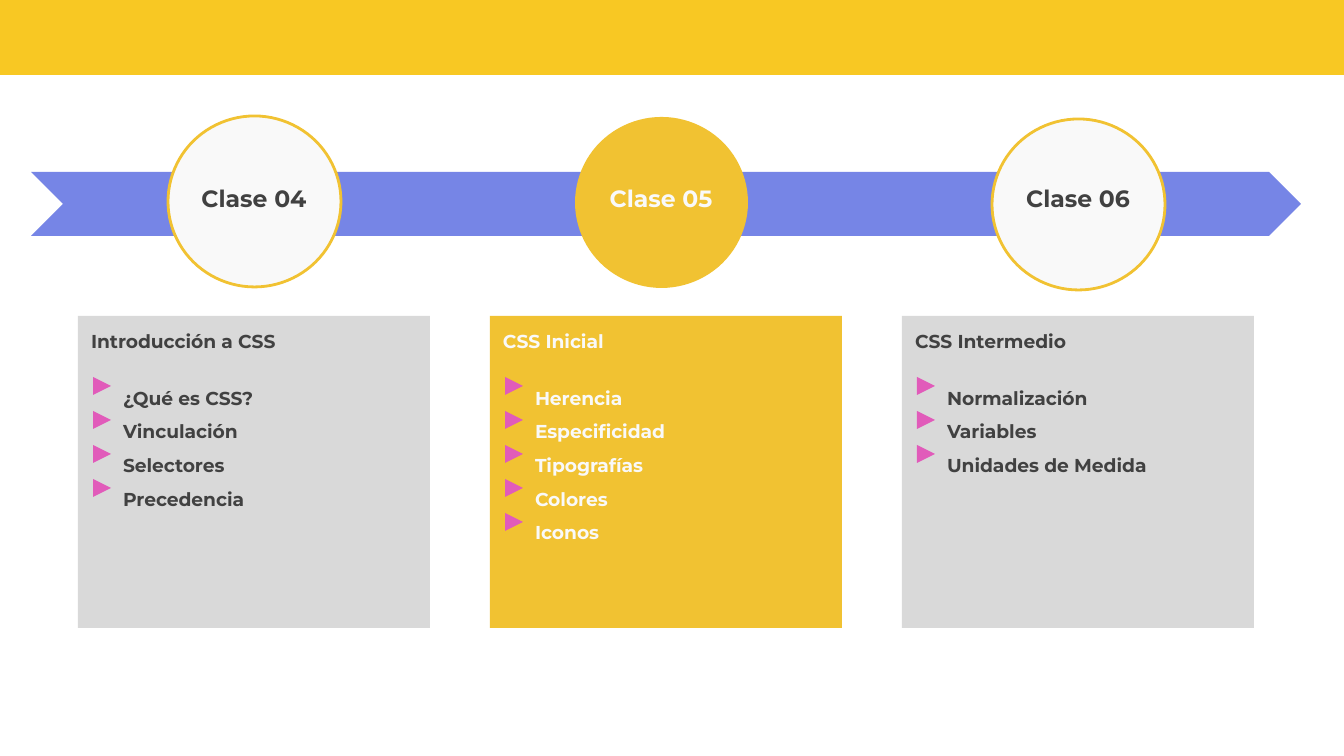
import pptx
import pptx.util
import pptx.dml.color
import pptx.enum.shapes
import pptx.enum.text
import pptx.oxml

SCALE = 914400 / 134.4
SHAPE = pptx.enum.shapes.MSO_SHAPE
ALIGN = pptx.enum.text.PP_ALIGN


def px(size):
    return round(size * SCALE)


def color(code):
    return pptx.dml.color.RGBColor.from_string(code)


def write(para, text, font="Montserrat", size=10, ink="414141", bold=True,
          align=ALIGN.LEFT, space=1.0, before=0, left=0):
    run = para.add_run()
    run.text = text
    run.font.name = font
    run.font.size = pptx.util.Pt(size)
    run.font.bold = bold
    run.font.color.rgb = color(ink)
    para.alignment = align
    para.line_spacing = space
    para.space_before = pptx.util.Pt(before)
    para.space_after = pptx.util.Pt(0)
    props = para._p.get_or_add_pPr()
    props.set("marL", str(px(left)))
    props.set("indent", "0")
    space_ns = "http://schemas.openxmlformats.org/drawingml/2006/main"
    props.append(pptx.oxml.parse_xml(f'<a:buNone xmlns:a="{space_ns}"/>'))


class Deck:
    gold = "F1C232"
    light = "F9F9F9"
    dark = "414141"
    gray = "D9D9D9"
    blue = "7685E6"
    pink = "E15BBA"
    yellow = "F8C823"

    def __init__(self):
        self.file = pptx.Presentation()
        self.file.slide_width = px(1344)
        self.file.slide_height = px(756)
        self.slide = self.file.slides.add_slide(self.file.slide_layouts[4])
        self.holders = {p.placeholder_format.idx: p
                        for p in self.slide.placeholders}

    def shape(self, kind, x, y, w, h, fill, line=None, turn=0):
        item = self.slide.shapes.add_shape(kind, px(x), px(y), px(w), px(h))
        item.shadow.inherit = False
        item.fill.solid()
        item.fill.fore_color.rgb = color(fill)
        item.rotation = turn
        if line:
            item.line.color.rgb = color(line)
            item.line.width = pptx.util.Pt(1.5)
        else:
            item.line.fill.background()

    def frame(self, box, x, y, w, h):
        box.left, box.top, box.width, box.height = map(px, (x, y, w, h))
        text = box.text_frame
        text.word_wrap = True
        text.auto_size = pptx.enum.text.MSO_AUTO_SIZE.NONE
        text.vertical_anchor = pptx.enum.text.MSO_ANCHOR.TOP
        text.margin_left = text.margin_right = px(13)
        text.margin_top = text.margin_bottom = px(13)
        self.slide.shapes.element.append(box.element)
        return text

    def label(self, text, mid, ink, title=False):
        if title:
            box = self.slide.shapes.title
        else:
            box = self.slide.shapes.add_textbox(0, 0, 0, 0)
        area = self.frame(box, mid - 80, 171, 160, 44)
        write(area.paragraphs[0], text, size=12.6, ink=ink, align=ALIGN.CENTER)

    def list(self, slot, x, head, items, ink):
        area = self.frame(self.holders.pop(slot), x, 317, 352, 311)
        write(area.paragraphs[0], head, ink=ink)
        for row, item in enumerate(items):
            write(area.add_paragraph(), item, ink=ink, space=1.5,
                  before=0 if row else 12.2, left=32)
            self.shape(SHAPE.ISOSCELES_TRIANGLE, x + 15, 377 + 34 * row,
                       18, 18, self.pink, turn=90)

    def save(self):
        for slot, box in self.holders.items():
            if slot:
                box.element.getparent().remove(box.element)
        self.file.save("out.pptx")


def main():
    deck = Deck()
    lessons = [
        ("Clase 04", 254, 116, "Introducción a CSS",
         ["¿Qué es CSS?", "Vinculación", "Selectores", "Precedencia"]),
        ("Clase 05", 661, 117, "CSS Inicial",
         ["Herencia", "Especificidad", "Tipografías", "Colores", "Iconos"]),
        ("Clase 06", 1078, 119, "CSS Intermedio",
         ["Normalización", "Variables", "Unidades de Medida"]),
    ]
    deck.shape(SHAPE.RECTANGLE, 0, 0, 1344, 75, deck.yellow)
    deck.shape(SHAPE.CHEVRON, 31, 172, 1270, 64, deck.blue)
    for col, (name, mid, top, head, items) in enumerate(lessons):
        now = name == "Clase 05"
        ink = deck.light if now else deck.dark
        x = 78 + 412 * col
        deck.shape(SHAPE.OVAL, mid - 86, top, 173, 171,
                   deck.gold if now else deck.light,
                   line=None if now else deck.gold)
        deck.shape(SHAPE.RECTANGLE, x, 316, 352, 312,
                   deck.gold if now else deck.gray)
        deck.label(name, mid, ink, title=now)
        deck.list(col + 1, x, head, items, ink)
    deck.save()


if __name__ == "__main__":
    main()
